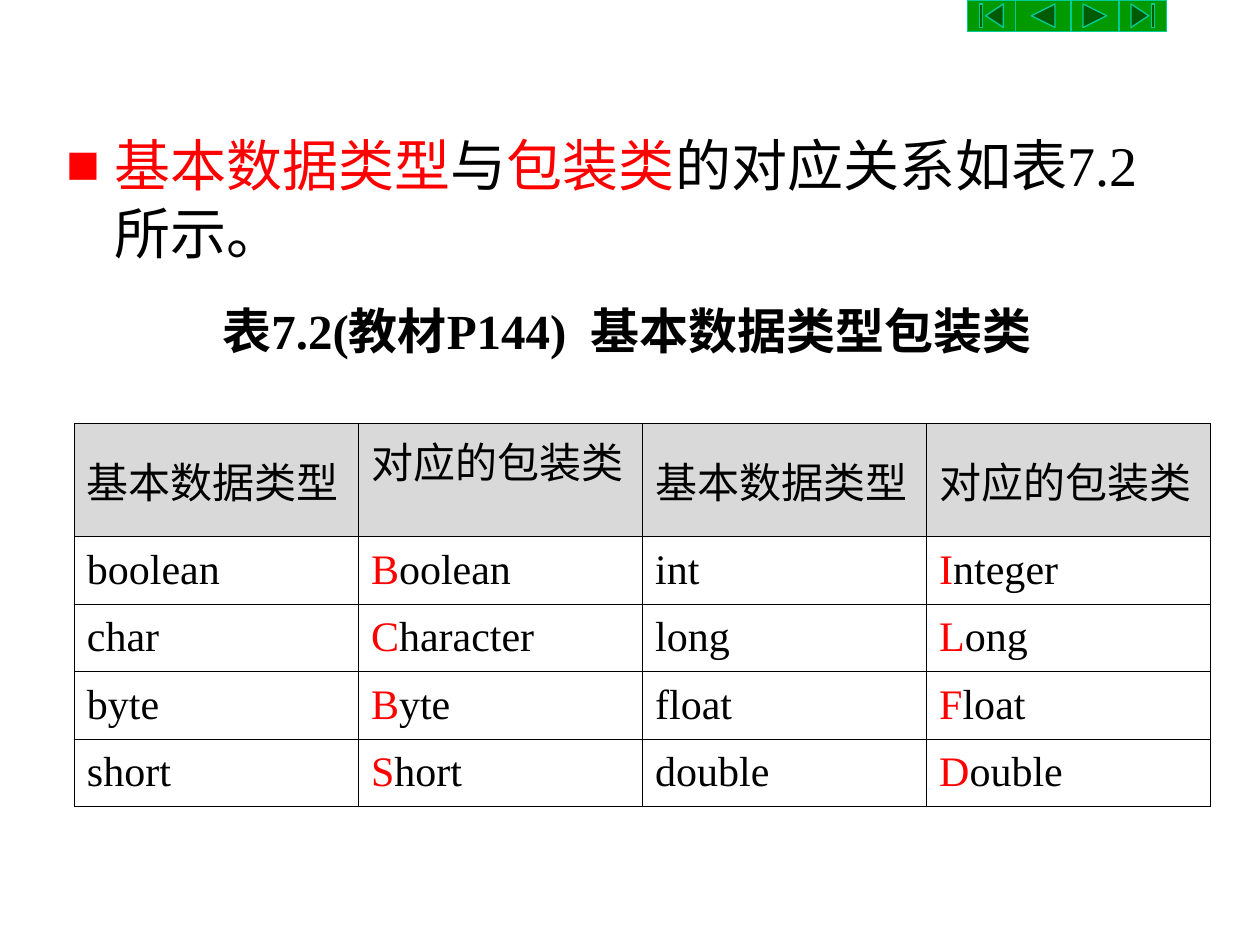
from lxml.etree import SubElement
from pptx import Presentation
from pptx.dml.color import RGBColor
from pptx.enum.shapes import MSO_SHAPE as Shape
from pptx.enum.text import MSO_ANCHOR as Anchor, MSO_AUTO_SIZE as AutoSize, PP_ALIGN as Align
from pptx.oxml.ns import qn
from pptx.util import Inches, Pt

FONT = "Times New Roman"
COLORS = {"text": "000000", "accent": "FF0000", "header": "D9D9D9",
          "button": "009900", "edge": "00CC99"}
BUTTONS = [(Shape.ACTION_BUTTON_BEGINNING, 0.38),
           (Shape.ACTION_BUTTON_BACK_OR_PREVIOUS, 0.44),
           (Shape.ACTION_BUTTON_FORWARD_OR_NEXT, 0.38),
           (Shape.ACTION_BUTTON_END, 0.38)]
HEADER = ["基本数据类型", "对应的包装类"] * 2
ROWS = [["boolean", "Boolean", "int", "Integer"],
        ["char", "Character", "long", "Long"],
        ["byte", "Byte", "float", "Float"],
        ["short", "Short", "double", "Double"]]


def rgb(name):
    """Return the named colour."""
    return RGBColor.from_string(COLORS[name])


def add_runs(p, runs, size, bold=False):
    """Add (text, colour) runs to a paragraph."""
    for text, color in runs:
        r = p.add_run()
        r.text = text
        r.font.name, r.font.size, r.font.bold = FONT, Pt(size), bold
        r.font.color.rgb = rgb(color)


def add_bullet(p):
    """Give a paragraph a hanging square bullet."""
    pPr = p._p.get_or_add_pPr()
    pPr.set("marL", str(Inches(0.38)))
    pPr.set("indent", str(-Inches(0.38)))
    SubElement(SubElement(pPr, qn("a:buClr")), qn("a:srgbClr"), val=COLORS["accent"])
    SubElement(pPr, qn("a:buFont"), typeface=FONT)
    SubElement(pPr, qn("a:buChar"), char="■")


def add_text(s, box, runs, size, bold=False):
    """Add a text box holding one paragraph and return its frame."""
    tf = s.shapes.add_textbox(*map(Inches, box)).text_frame
    tf.word_wrap = True
    add_runs(tf.paragraphs[0], runs, size, bold)
    return tf


def add_navigation(s, left):
    """Line up the navigation buttons along the top edge."""
    for kind, width in BUTTONS:
        sp = s.shapes.add_shape(kind, Inches(left), 0, Inches(width), Inches(0.25))
        sp.shadow.inherit = False
        sp.fill.solid()
        sp.fill.fore_color.rgb = rgb("button")
        sp.line.color.rgb = rgb("edge")
        sp.line.width = Pt(0.75)
        left += width


def set_borders(cell, widths):
    """Draw the left, right, top and bottom borders of a cell."""
    tcPr = cell._tc.get_or_add_tcPr()
    for side, width in zip("LRTB", widths):
        ln = SubElement(tcPr, qn(f"a:ln{side}"), w=str(Pt(width)))
        SubElement(SubElement(ln, qn("a:solidFill")), qn("a:srgbClr"), val=COLORS["text"])


def fill_cell(cell, text, row, col):
    """Write and format one cell of the type table."""
    thin, thick = 0.34, 0.96
    set_borders(cell, (thick if col == 2 else thin, thick if col == 1 else thin, thin, thin))
    cell.vertical_anchor = Anchor.MIDDLE
    if row == 0:
        cell.fill.solid()
        cell.fill.fore_color.rgb = rgb("header")
    else:
        cell.fill.background()
    wrapper = row > 0 and col % 2 == 1
    runs = [(text[0], "accent"), (text[1:], "text")] if wrapper else [(text, "text")]
    add_runs(cell.text_frame.paragraphs[0], runs, 24)


def add_type_table(s):
    """Add the table of primitive types and wrapper classes."""
    data = [HEADER] + ROWS
    table = s.shapes.add_table(len(data), len(HEADER), Inches(0.59), Inches(3.36),
                               Inches(9.02), Inches(3.04)).table
    table.first_row = table.horz_banding = False
    for row, texts in enumerate(data):
        table.rows[row].height = Inches(0.535 if row else 0.9)
        for col, text in enumerate(texts):
            fill_cell(table.cell(row, col), text, row, col)
    table.cell(0, 1).margin_bottom = Inches(0.37)


def main():
    """Build and save the slide."""
    prs = Presentation()
    prs.slide_width, prs.slide_height = Inches(10), Inches(7.5)
    s = prs.slides.add_slide(prs.slide_layouts[6])
    add_navigation(s, 7.68)
    body = add_text(s, (0.43, 0.99, 9.07, 5.59),
                    [("基本数据类型", "accent"), ("与", "text"), ("包装类", "accent"),
                     ("的对应关系如表7.2所示。", "text")], 32)
    add_bullet(body.paragraphs[0])
    caption = add_text(s, (1.48, 2.33, 6.99, 0.57),
                       [("表7.2(教材P144)  基本数据类型包装类", "text")], 28, True)
    caption.word_wrap = False
    caption.auto_size = AutoSize.SHAPE_TO_FIT_TEXT
    caption.vertical_anchor = Anchor.MIDDLE
    caption.paragraphs[0].alignment = Align.CENTER
    add_type_table(s)
    prs.save("out.pptx")


if __name__ == "__main__":
    main()
